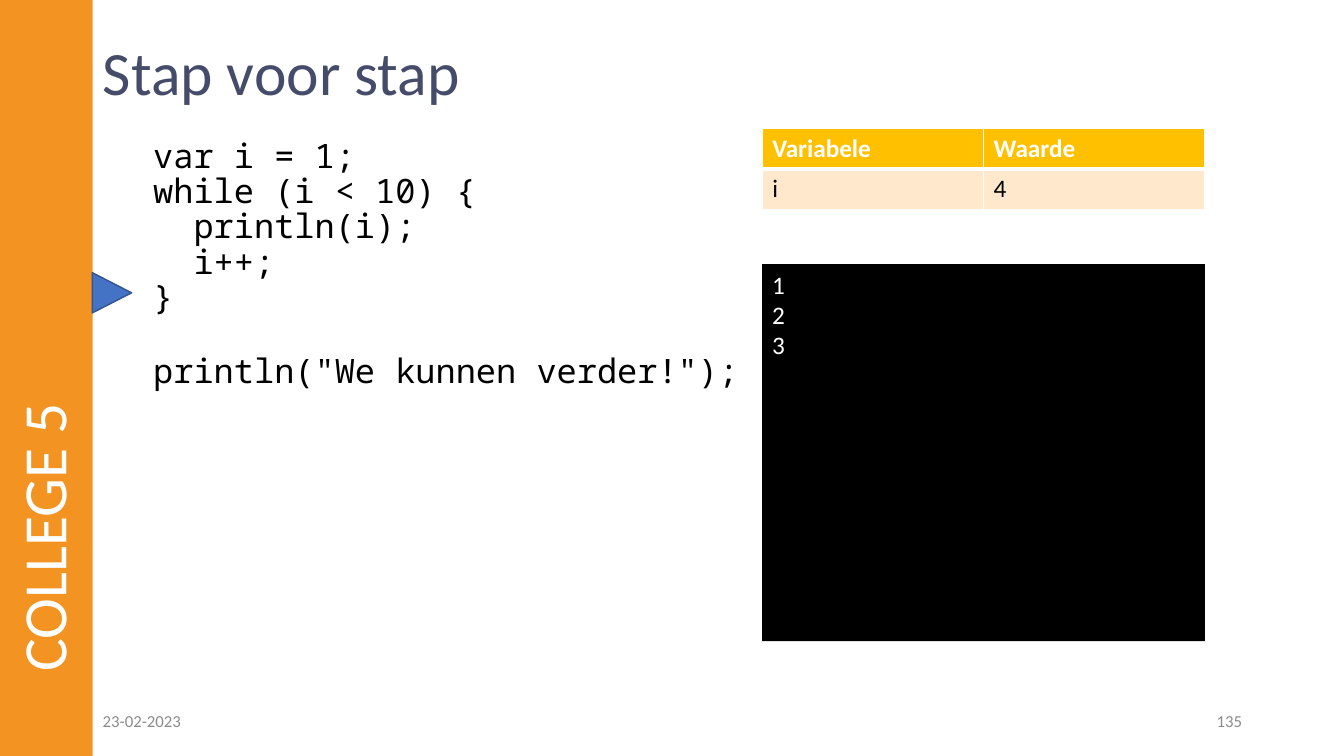
from lxml import etree
from pptx import Presentation
from pptx.dml.color import RGBColor
from pptx.enum.shapes import MSO_SHAPE
from pptx.enum.text import MSO_ANCHOR, MSO_AUTO_SIZE, PP_ALIGN
from pptx.oxml.ns import qn
from pptx.util import Inches, Pt

RECTANGLE, TRIANGLE = MSO_SHAPE.RECTANGLE, MSO_SHAPE.ISOSCELES_TRIANGLE
TOP, MIDDLE = MSO_ANCHOR.TOP, MSO_ANCHOR.MIDDLE
LEFT, RIGHT = PP_ALIGN.LEFT, PP_ALIGN.RIGHT
NO_FIT = MSO_AUTO_SIZE.NONE

WHITE = RGBColor(0xFF, 0xFF, 0xFF)
BLACK = RGBColor(0x00, 0x00, 0x00)
ORANGE = RGBColor(0xF3, 0x93, 0x22)
SLATE = RGBColor(0x45, 0x4C, 0x69)
GRAY = RGBColor(0x8C, 0x8C, 0x8C)
GOLD = RGBColor(0xFF, 0xC0, 0x00)
PEACH = RGBColor(0xFF, 0xE8, 0xCC)
BLUE = RGBColor(0x44, 0x72, 0xC4)
DARK_BLUE = RGBColor(0x32, 0x54, 0x91)

CODE = [
    "var i = 1;",
    "while (i < 10) {",
    "  println(i);",
    "  i++;",
    "}",
    'println("We kunnen verder!");',
]
VARIABLES = [["Variabele", "Waarde"], ["i", "4"]]
OUTPUT = ["1", "2", "3"]


class SlideBuilder:
    body_font = "Calibri"
    code_font = "Noto Sans Mono"

    def __init__(self, deck):
        self.slide = deck.slides.add_slide(deck.slide_layouts[5])

    def place(self, shape, left, top, width, height):
        shape.left, shape.top = Inches(left), Inches(top)
        shape.width, shape.height = Inches(width), Inches(height)

    def fill_text(self, frame, lines, size, color, font=body_font, bold=False,
                  align=LEFT, anchor=TOP, spacing=1.0, before=0):
        frame.word_wrap = True
        frame.auto_size = NO_FIT
        frame.vertical_anchor = anchor
        for index, line in enumerate(lines):
            para = frame.add_paragraph() if index else frame.paragraphs[0]
            para.alignment = align
            para.line_spacing = spacing
            para.space_before = Pt(before if index else 0)
            span = para.add_run()
            span.text = line
            span.font.name = font
            span.font.size = Pt(size)
            span.font.bold = bold
            span.font.color.rgb = color

    def title(self, text, bounds):
        box = self.slide.shapes.title
        self.place(box, *bounds)
        self.fill_text(box.text_frame, [text], 44, SLATE, anchor=MIDDLE, spacing=0.9)

    def text(self, lines, bounds, size, color, rotation=0, **style):
        box = self.slide.shapes.add_textbox(*map(Inches, bounds))
        box.rotation = rotation
        self.fill_text(box.text_frame, lines, size, color, **style)
        return box

    def code(self, lines, bounds):
        box = self.text(lines, bounds, 24, BLACK, font=self.code_font,
                        spacing=0.8, before=2)
        box.text_frame.margin_left = Inches(0.6)
        box.text_frame.paragraphs[-1].space_before = Pt(30)

    def shape(self, kind, bounds, fill, line=None, rotation=0):
        shape = self.slide.shapes.add_shape(kind, *map(Inches, bounds))
        shape.shadow.inherit = False
        shape.rotation = rotation
        shape.fill.solid()
        shape.fill.fore_color.rgb = fill
        if line is None:
            shape.line.fill.background()
        else:
            shape.line.color.rgb = line
            shape.line.width = Pt(1)
        return shape

    def console(self, lines, bounds):
        screen = self.shape(RECTANGLE, bounds, BLACK)
        self.fill_text(screen.text_frame, lines, 18, WHITE)

    def borders(self, cell, bottom):
        properties = cell._tc.get_or_add_tcPr()
        widths = {"a:lnL": 1, "a:lnR": 1, "a:lnT": 1, "a:lnB": bottom}
        for index, (tag, width) in enumerate(widths.items()):
            edge = etree.Element(qn(tag), w=str(Pt(width)))
            paint = etree.SubElement(edge, qn("a:solidFill"))
            etree.SubElement(paint, qn("a:srgbClr"), val=str(WHITE))
            properties.insert(index, edge)

    def table(self, rows, bounds):
        frame = self.slide.shapes.add_table(len(rows), len(rows[0]),
                                            *map(Inches, bounds))
        for row_index, row in enumerate(rows):
            header = row_index == 0
            for column_index, text in enumerate(row):
                cell = frame.table.cell(row_index, column_index)
                cell.fill.solid()
                cell.fill.fore_color.rgb = GOLD if header else PEACH
                self.fill_text(cell.text_frame, [text], 18,
                               WHITE if header else BLACK, bold=header)
                self.borders(cell, 3 if header else 1)


def main():
    deck = Presentation()
    deck.slide_width, deck.slide_height = Inches(13.33), Inches(7.5)
    page = SlideBuilder(deck)
    page.shape(RECTANGLE, (-3.29, 3.29, 7.5, 0.92), ORANGE, rotation=270)
    page.title("Stap voor stap", (0.92, 0.32, 11.5, 0.86))
    page.code(CODE, (0.92, 1.37, 6.64, 2.96))
    page.text(["23-02-2023"], (0.92, 6.95, 3, 0.4), 12, GRAY, anchor=MIDDLE)
    page.text(["135"], (9.42, 6.95, 3, 0.4), 12, GRAY, anchor=MIDDLE, align=RIGHT)
    page.text(["COLLEGE 5"], (-2.92, 2.92, 6.76, 0.92), 44, WHITE, rotation=270,
              anchor=MIDDLE, spacing=0.9)
    page.table(VARIABLES, (7.56, 1.27, 4.39, 0.81))
    page.shape(TRIANGLE, (0.91, 2.71, 0.4, 0.39), BLUE, DARK_BLUE, rotation=90)
    page.console(OUTPUT, (7.56, 2.62, 4.39, 3.74))
    deck.save("out.pptx")


if __name__ == "__main__":
    main()
